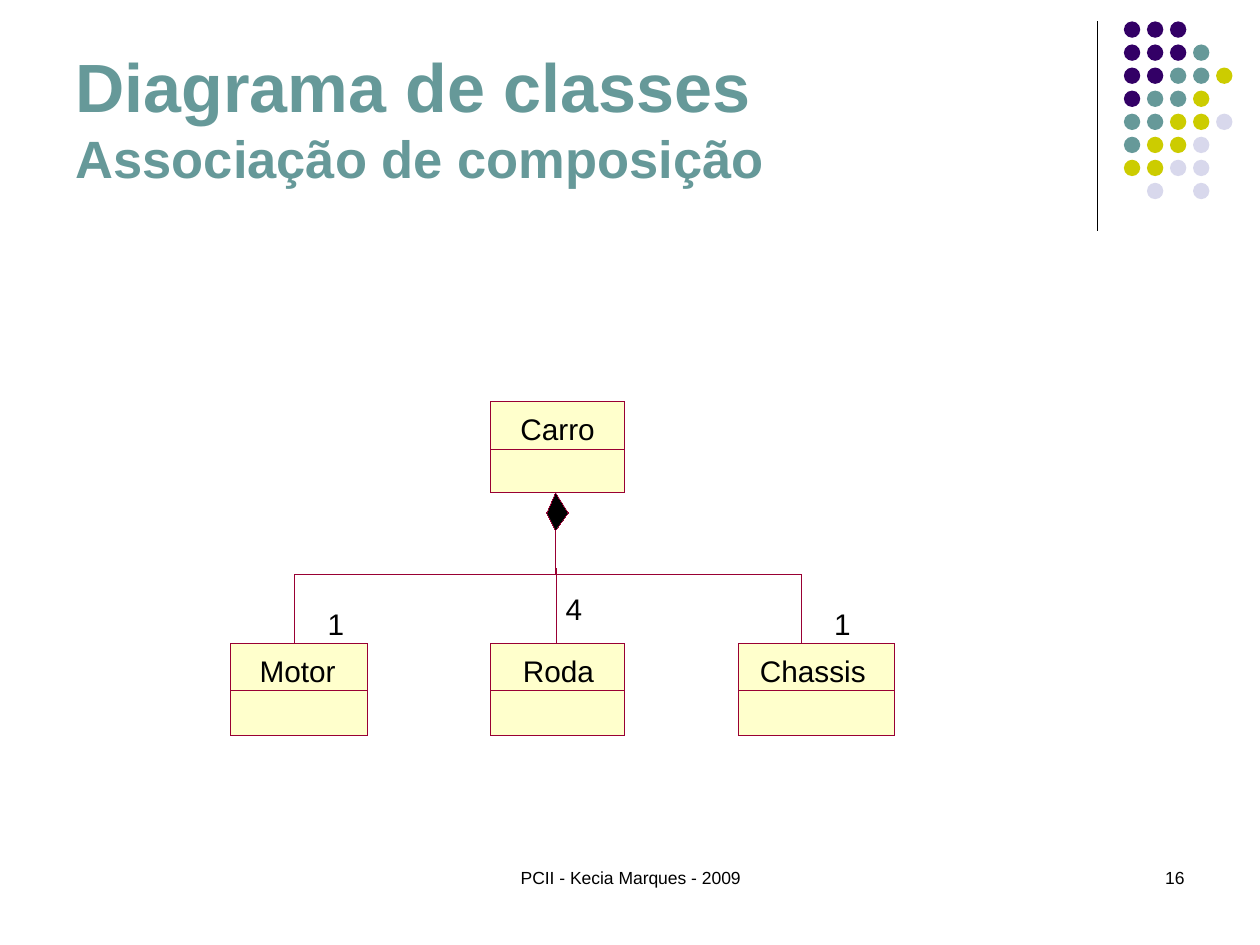
"""Build the composition class diagram slide; lengths are percentages of the slide."""
import dataclasses

import lxml.etree
import pptx
import pptx.dml.color
import pptx.enum.shapes
import pptx.enum.text
import pptx.oxml.ns
import pptx.util

ALIGN = pptx.enum.text.PP_ALIGN
FIT = pptx.enum.text.MSO_AUTO_SIZE
SHAPE = pptx.enum.shapes.MSO_SHAPE
INK, TEAL, MAROON, CREAM = "000000", "669999", "990033", "FFFFCC"
DOT_COLOURS = {"P": "330066", "T": TEAL, "Y": "CCCC00", "L": "D8D8EC"}
DOT_ROWS = ["PPP", "PPPT", "PPTTY", "PTTY", "TTYYL", "TYYL", "YYLL", " L L"]
PARTS_TOP, JOIN_ROW, AXIS = 68.13, 60.8, 44.1
HAIRLINE = 0.01


@dataclasses.dataclass
class ClassBox:
    name: str
    left: float
    top: float
    width: float
    height: float
    divider: float
    name_left: float
    name_width: float


@dataclasses.dataclass
class Label:
    text: str
    left: float
    top: float
    width: float = 1.3
    height: float = 3.73
    size: float = 17
    align: ALIGN = ALIGN.LEFT
    margins: tuple[float, float] = (0, 0)
    wrap: bool = False


CLASSES = [
    ClassBox("Motor", 18.3, PARTS_TOP, 10.9, 9.73, 73.07, 20.6, 6.1),
    ClassBox("Chassis", 58.6, PARTS_TOP, 12.4, 9.73, 73.07, 60.3, 8.5),
    ClassBox("Carro", 38.9, 42.53, 10.7, 9.6, 47.6, 41.3, 6),
    ClassBox("Roda", 38.9, PARTS_TOP, 10.7, 9.73, 73.07, 41.5, 5.7),
]
MULTIPLICITIES = [Label("1", 26, 64.13), Label("4", 44.9, 62.53), Label("1", 66.2, 64.13)]
FOOTERS = [
    Label("PCII - Kecia Marques - 2009", 34.2, 91.07, 31.7, 6.67, 10, ALIGN.CENTER, (1, 0.67), True),
    Label("16", 71.7, 91.07, 23.3, 6.67, 10, ALIGN.RIGHT, (1, 0.67), True),
]
DIAMOND = [(AXIS, 52.13), (45.1, 54.27), (AXIS, 56.13), (43.4, 54.27)]


def across(percent: float) -> int:
    """Convert a share of the slide width to a length."""
    return pptx.util.Inches(percent / 10)


def down(percent: float) -> int:
    """Convert a share of the slide height to a length."""
    return pptx.util.Inches(percent * 0.075)


def colour(code: str) -> pptx.dml.color.RGBColor:
    """Turn a hex string into a colour."""
    return pptx.dml.color.RGBColor.from_string(code)


def paint(shape, fill: str | None, outline: str | None) -> None:
    """Give a shape its fill and hairline outline."""
    shape.shadow.inherit = False
    if fill:
        shape.fill.solid()
        shape.fill.fore_color.rgb = colour(fill)
    else:
        shape.fill.background()
    if outline:
        shape.line.color.rgb = colour(outline)
        shape.line.width = pptx.util.Pt(HAIRLINE)
    else:
        shape.line.fill.background()


def draw_label(slide, label: Label) -> None:
    """Draw one text label."""
    box = slide.shapes.add_textbox(
        across(label.left), down(label.top), across(label.width), down(label.height))
    frame = box.text_frame
    frame.word_wrap = label.wrap
    frame.auto_size = FIT.NONE if label.wrap else FIT.SHAPE_TO_FIT_TEXT
    frame.margin_left = frame.margin_right = across(label.margins[0])
    frame.margin_top = frame.margin_bottom = down(label.margins[1])
    frame.text = label.text
    paragraph = frame.paragraphs[0]
    paragraph.alignment = label.align
    paragraph.font.name = "Arial"
    paragraph.font.size = pptx.util.Pt(label.size)
    paragraph.font.color.rgb = colour(INK)


def draw_class(slide, box: ClassBox) -> None:
    """Draw a class box with its name and empty lower compartment."""
    bottom = box.top + box.height
    for top, fill in ((box.top, CREAM), (box.divider, None)):
        compartment = slide.shapes.add_shape(
            SHAPE.RECTANGLE, across(box.left), down(top), across(box.width), down(bottom - top))
        paint(compartment, fill, MAROON)
    draw_label(slide, Label(box.name, box.name_left, box.top + 0.94, box.name_width))


def draw_path(slide, points: list[tuple[float, float]], fill: str | None = None) -> None:
    """Draw an open elbow, or a closed outline when filled."""
    start, *rest = [(across(x), down(y)) for x, y in points]
    builder = slide.shapes.build_freeform(*start)
    builder.add_line_segments(rest, close=fill is not None)
    paint(builder.convert_to_shape(), fill, MAROON)


def draw_line(slide, x: float, top: float, bottom: float, ink: str, width: float) -> None:
    """Draw a vertical line without shadow."""
    line = slide.shapes.add_connector(
        pptx.enum.shapes.MSO_CONNECTOR.STRAIGHT, across(x), down(top), across(x), down(bottom))
    line.line.color.rgb = colour(ink)
    line.line.width = pptx.util.Pt(width)
    lxml.etree.SubElement(line._element.spPr, pptx.oxml.ns.qn("a:effectLst"))


def draw_dots(slide) -> None:
    """Draw the corner pattern of coloured dots."""
    for row, codes in enumerate(DOT_ROWS):
        for column, code in enumerate(codes):
            if code in DOT_COLOURS:
                dot = slide.shapes.add_shape(
                    SHAPE.OVAL, across(89.2 + 1.83 * column), down(2.27 + 2.44 * row),
                    across(1.3), down(1.73))
                paint(dot, DOT_COLOURS[code], None)


def write_title(slide) -> None:
    """Fill the title placeholder with heading and subheading."""
    title = slide.shapes.title
    title.left, title.top, title.width, title.height = (
        across(5), down(1.73), across(82.5), down(18.93))
    frame = title.text_frame
    frame.auto_size = FIT.NONE
    frame.vertical_anchor = pptx.enum.text.MSO_ANCHOR.BOTTOM
    paragraph = frame.paragraphs[0]
    paragraph.alignment = ALIGN.LEFT
    paragraph.font.name = "Arial"
    paragraph.font.bold = True
    paragraph.font.color.rgb = colour(TEAL)
    heading = paragraph.add_run()
    heading.text = "Diagrama de classes"
    heading.font.size = pptx.util.Pt(39)
    paragraph.add_line_break()
    subheading = paragraph.add_run()
    subheading.text = "Associação de composição"
    subheading.font.size = pptx.util.Pt(30)


def main() -> None:
    """Assemble and save the slide."""
    deck = pptx.Presentation()
    deck.slide_width, deck.slide_height = across(100), down(100)
    slide = deck.slides.add_slide(deck.slide_layouts[5])
    draw_line(slide, 87.1, 2.27, 24.4, INK, 0.75)
    draw_dots(slide)
    write_title(slide)
    for box in CLASSES:
        draw_class(slide, box)
    for inner, outer in ((34.3, 23.4), (53.4, 63.6)):
        draw_path(slide, [(inner, JOIN_ROW), (outer, JOIN_ROW), (outer, PARTS_TOP)])
        draw_path(slide, [(inner, JOIN_ROW), (AXIS, JOIN_ROW), (AXIS, 52.13)])
    draw_path(slide, DIAMOND, INK)
    draw_line(slide, 44.2, 60.13, PARTS_TOP, MAROON, HAIRLINE)
    for label in MULTIPLICITIES + FOOTERS:
        draw_label(slide, label)
    deck.save("out.pptx")


if __name__ == "__main__":
    main()
